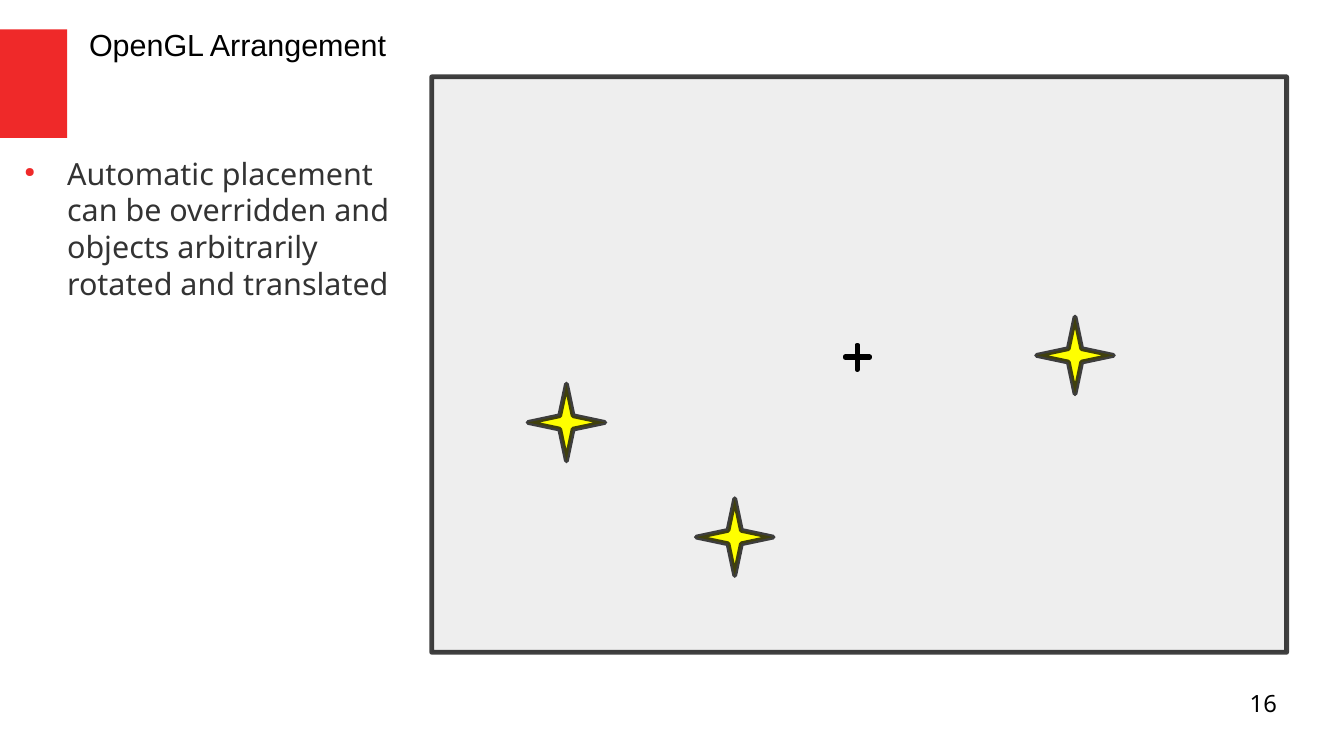
"""Build the OpenGL Arrangement slide with its stage, stars and caption."""
from lxml import etree
from pptx import Presentation
from pptx.dml.color import RGBColor
from pptx.enum.shapes import MSO_SHAPE as Preset
from pptx.enum.text import MSO_ANCHOR as Anchor, PP_ALIGN as Align
from pptx.oxml.ns import qn
from pptx.util import Inches, Pt


def paint(shape, fill, line=None, opacity=100):
    shape.shadow.inherit = False
    shape.fill.solid()
    shape.fill.fore_color.rgb = RGBColor.from_string(fill)
    if line is None:
        shape.line.fill.background()
        return
    shape.line.color.rgb = RGBColor.from_string(line)
    shape.line.width = Pt(2.83)
    outline = shape.line._get_or_add_ln()
    color = outline.find(".//" + qn("a:srgbClr"))
    etree.SubElement(color, qn("a:alpha"), val=str(opacity * 1000))
    etree.SubElement(outline, qn("a:round"))


def write(shape, text, size, font, color, margins=(0, 0), align=Align.LEFT):
    frame = shape.text_frame
    frame.word_wrap = True
    frame.vertical_anchor = Anchor.TOP
    frame.margin_left = frame.margin_right = Inches(margins[0])
    frame.margin_top = frame.margin_bottom = Inches(margins[1])
    paragraph = frame.paragraphs[0]
    paragraph.alignment = align
    run = paragraph.add_run()
    run.text = text
    run.font.size = Pt(size)
    run.font.name = font
    run.font.color.rgb = RGBColor.from_string(color)
    return paragraph


deck = Presentation()
deck.slide_width, deck.slide_height = Inches(11.02), Inches(6.2)
slide = deck.slides.add_slide(deck.slide_layouts[5])
shapes = slide.shapes

accent = shapes.add_shape(Preset.RECTANGLE, 0, Inches(0.24), Inches(0.55), Inches(0.89))
paint(accent, "EF2929")

stage = shapes.add_shape(Preset.RECTANGLE, Inches(3.54), Inches(0.63), Inches(7.01), Inches(4.72))
paint(stage, "EEEEEE", "000000", 75)

origin = shapes.add_shape(Preset.CROSS, Inches(6.93), Inches(2.83), Inches(0.2), Inches(0.2))
origin.adjustments[0] = 0.488
paint(origin, "000000", "000000")

TIP, NOTCH = 0.315, 0.055
star_outline = [(-TIP, 0), (-NOTCH, -NOTCH), (0, -TIP), (NOTCH, -NOTCH),
                (TIP, 0), (NOTCH, NOTCH), (0, TIP), (-NOTCH, NOTCH)]
for center_x, center_y in [(8.815, 2.915), (6.025, 4.405), (4.645, 3.465)]:
    points = [(Inches(center_x + x), Inches(center_y + y)) for x, y in star_outline]
    builder = shapes.build_freeform(*points[0])
    builder.add_line_segments(points[1:], close=True)
    paint(builder.convert_to_shape(), "FFFF00", "111111", 80)

title = shapes.title
title.left, title.top = Inches(0.63), Inches(0.16)
title.width, title.height = Inches(2.76), Inches(0.47)
write(title, "OpenGL Arrangement", 18, "Arial", "000000", margins=(0.1, 0.05))

caption = shapes.add_textbox(Inches(0.08), Inches(1.27), Inches(3.31), Inches(4.48))
bullet = write(caption, "Automatic placement can be overridden and objects arbitrarily rotated and translated",
               18, "Noto Sans", "333333")
bullet.space_after = Pt(10.6)
bullet_format = bullet._p.get_or_add_pPr()
bullet_format.set("marL", str(Inches(0.47)))
bullet_format.set("indent", str(Inches(-0.35)))
bullet_color = etree.SubElement(bullet_format, qn("a:buClr"))
etree.SubElement(bullet_color, qn("a:srgbClr"), val="EF2929")
etree.SubElement(bullet_format, qn("a:buSzPct"), val="45000")
etree.SubElement(bullet_format, qn("a:buChar"), char="●")

page_number = shapes.add_textbox(Inches(7.9), Inches(5.65), Inches(2.57), Inches(0.43))
write(page_number, "16", 14, "Noto Sans", "000000", align=Align.RIGHT)

deck.save("out.pptx")
